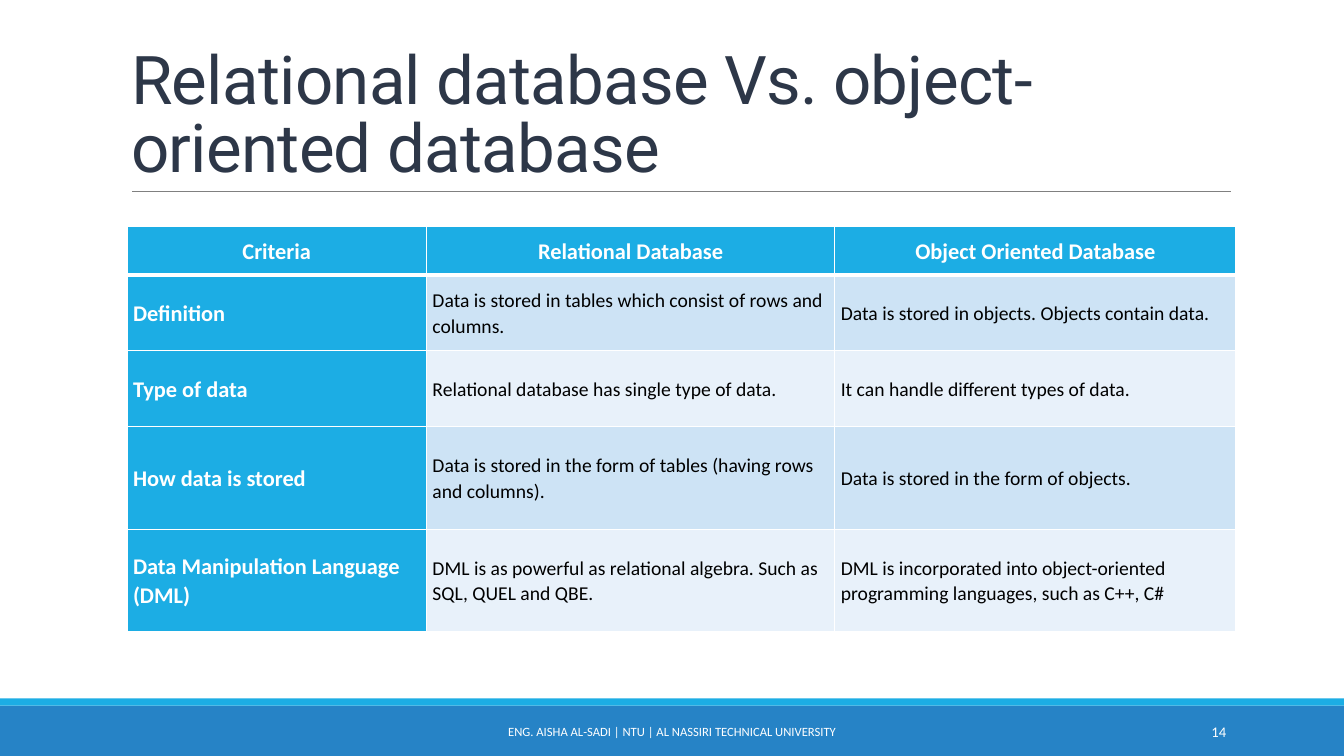
from pptx import Presentation
from pptx.dml.color import RGBColor
from pptx.enum.shapes import MSO_CONNECTOR, MSO_SHAPE
from pptx.enum.text import MSO_ANCHOR, MSO_AUTO_SIZE, PP_ALIGN
from pptx.oxml.ns import qn
from pptx.util import Emu, Inches, Pt
from lxml import etree

LEFT, CENTER, RIGHT = PP_ALIGN.LEFT, PP_ALIGN.CENTER, PP_ALIGN.RIGHT
MIDDLE, BOTTOM = MSO_ANCHOR.MIDDLE, MSO_ANCHOR.BOTTOM
RECTANGLE = MSO_SHAPE.RECTANGLE
STRAIGHT = MSO_CONNECTOR.STRAIGHT
NO_AUTOFIT = MSO_AUTO_SIZE.NONE
TITLE_ONLY = 5
WIDTH, HEIGHT = 13.33, 7.5

COLORS = {
    "title": "2D3748",
    "rule": "808080",
    "footer": "2683C6",
    "accent": "1CADE4",
    "band_dark": "CDE3F5",
    "band_light": "E8F1FA",
    "white": "FFFFFF",
    "black": "000000",
}
COLUMN_WIDTHS = [2.97, 4.05, 3.98]
ROW_HEIGHTS = [0.48, 0.75, 0.75, 1.02, 1.02]
ROWS = [
    ["Criteria", "Relational Database", "Object Oriented Database"],
    ["Definition",
     "Data is stored in tables which consist of rows and columns.",
     "Data is stored in objects. Objects contain data."],
    ["Type of data",
     "Relational database has single type of data.",
     "It can handle different types of data."],
    ["How data is stored",
     "Data is stored in the form of tables (having rows and columns).",
     "Data is stored in the form of objects."],
    ["Data Manipulation Language (DML)",
     "DML is as powerful as relational algebra. Such as SQL, QUEL and QBE.",
     "DML is incorporated into object-oriented programming languages, such as C++, C#"],
]


def color(name):
    return RGBColor.from_string(COLORS[name])


def write(text_frame, text, size, color_name, align=LEFT, font="Calibri",
          bold=False, spacing=1.0):
    text_frame.text = text
    paragraph = text_frame.paragraphs[0]
    paragraph.alignment = align
    paragraph.line_spacing = spacing
    run = paragraph.runs[0]
    run.font.name = font
    run.font.size = Pt(size)
    run.font.bold = bold
    run.font.color.rgb = color(color_name)
    return run


def place(shape, left, top, width, height):
    shape.left, shape.top = Inches(left), Inches(top)
    shape.width, shape.height = Inches(width), Inches(height)


def add_bar(slide, top, height, color_name):
    bar = slide.shapes.add_shape(RECTANGLE, 0, Inches(top), Inches(WIDTH), Inches(height))
    bar.shadow.inherit = False
    bar.fill.solid()
    bar.fill.fore_color.rgb = color(color_name)
    bar.line.fill.background()


def add_rule(slide, left, right, top):
    rule = slide.shapes.add_connector(
        STRAIGHT, Inches(left), Inches(top), Inches(right), Inches(top))
    rule.line.color.rgb = color("rule")
    rule.line.width = Pt(0.5)
    etree.SubElement(rule._element.spPr, qn("a:effectLst"))


def add_title(slide, text):
    title = slide.shapes.title
    place(title, 1.2, 0.31, 11, 1.59)
    text_frame = title.text_frame
    text_frame.word_wrap = True
    text_frame.auto_size = NO_AUTOFIT
    text_frame.vertical_anchor = BOTTOM
    run = write(text_frame, text, 48, "title", font="Roboto", spacing=0.85)
    run.font._element.set("spc", "-50")


def add_footer_text(slide, text, left, width, size, align):
    box = slide.shapes.add_textbox(
        Inches(left), Inches(7.06), Inches(width), Inches(0.4))
    box.text_frame.word_wrap = True
    box.text_frame.vertical_anchor = MIDDLE
    write(box.text_frame, text, size, "white", align)


def set_borders(cell, bottom_width, top_width):
    properties = cell._tc.get_or_add_tcPr()
    widths = {"a:lnL": 1, "a:lnR": 1, "a:lnT": top_width, "a:lnB": bottom_width}
    for position, (tag, width) in enumerate(widths.items()):
        border = etree.Element(qn(tag), w=str(Pt(width)))
        fill = etree.SubElement(border, qn("a:solidFill"))
        etree.SubElement(fill, qn("a:srgbClr"), val=COLORS["white"])
        properties.insert(position, border)


def format_cell(cell, text, row, column):
    is_header = row == 0
    is_label = is_header or column == 0
    band = "band_dark" if row % 2 else "band_light"
    cell.fill.solid()
    cell.fill.fore_color.rgb = color("accent" if is_label else band)
    cell.vertical_anchor = MIDDLE
    cell.margin_left = cell.margin_right = Inches(0.06)
    cell.margin_top = cell.margin_bottom = Inches(0.06)
    write(cell.text_frame, text, 16 if is_label else 14,
          "white" if is_label else "black",
          CENTER if is_header else LEFT, bold=is_label, spacing=1.07)
    set_borders(cell, 3 if is_header else 1, 3 if row == 1 else 1)


def add_comparison_table(slide, left, top):
    frame = slide.shapes.add_table(
        len(ROWS), len(COLUMN_WIDTHS), Inches(left), Inches(top),
        Inches(sum(COLUMN_WIDTHS)), Inches(sum(ROW_HEIGHTS)))
    table = frame.table
    for column, width in zip(table.columns, COLUMN_WIDTHS):
        column.width = Inches(width)
    for row, height in zip(table.rows, ROW_HEIGHTS):
        row.height = Inches(height)
    for row, texts in enumerate(ROWS):
        for column, text in enumerate(texts):
            format_cell(table.cell(row, column), text, row, column)


def main():
    presentation = Presentation()
    presentation.slide_width = Emu(Inches(WIDTH))
    presentation.slide_height = Emu(Inches(HEIGHT))
    slide = presentation.slides.add_slide(presentation.slide_layouts[TITLE_ONLY])
    add_bar(slide, 7, 0.5, "footer")
    add_bar(slide, 6.93, 0.07, "accent")
    add_rule(slide, 1.31, 12.21, 1.9)
    add_title(slide, "Relational database Vs. object-oriented database")
    add_footer_text(slide, "ENG. AISHA AL-SADI | NTU | AL NASSIRI TECHNICAL UNIVERSITY",
                    4.03, 5.27, 9, CENTER)
    add_footer_text(slide, "14", 10.83, 1.43, 10.5, RIGHT)
    add_comparison_table(slide, 1.26, 2.25)
    presentation.save("out.pptx")


if __name__ == "__main__":
    main()
